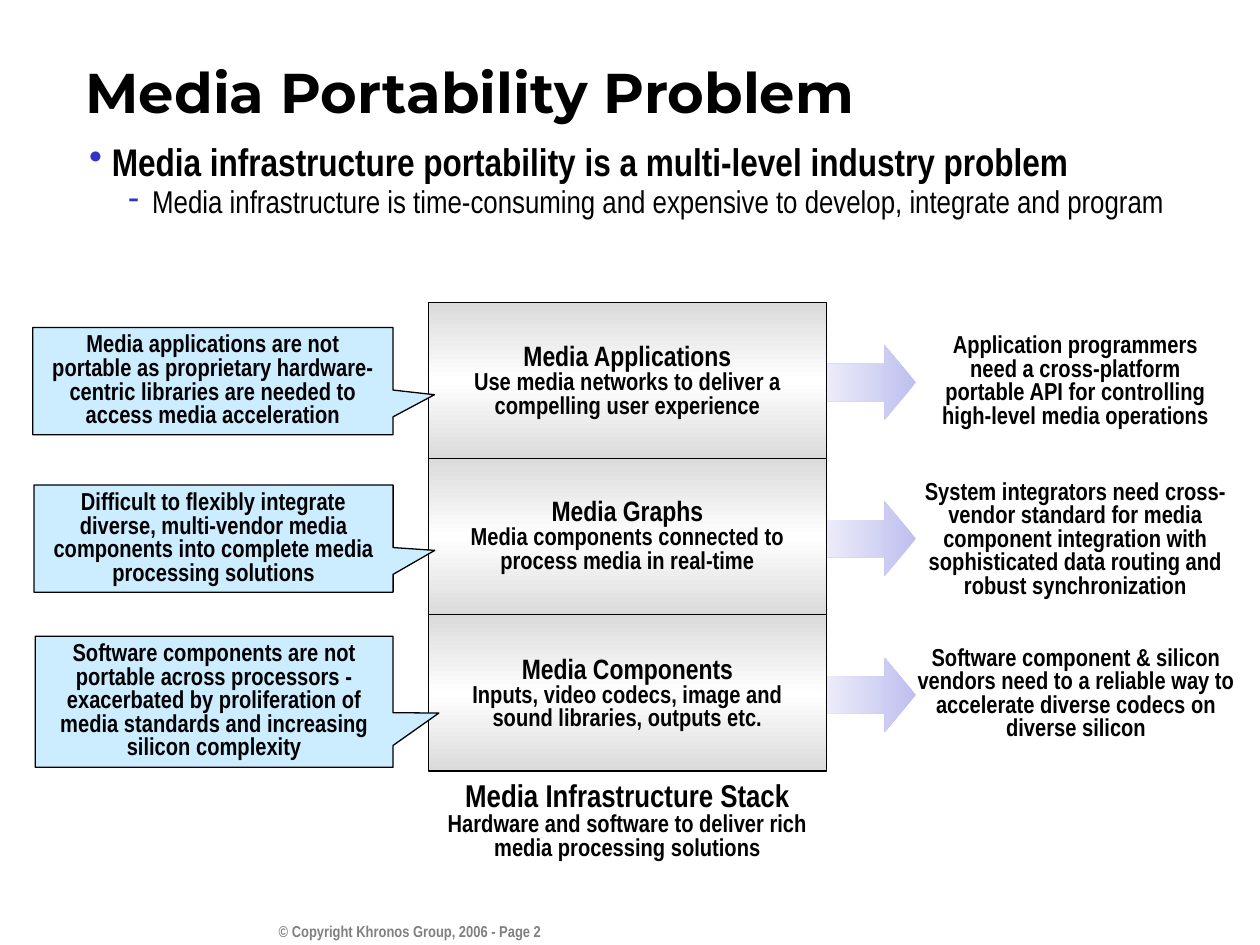
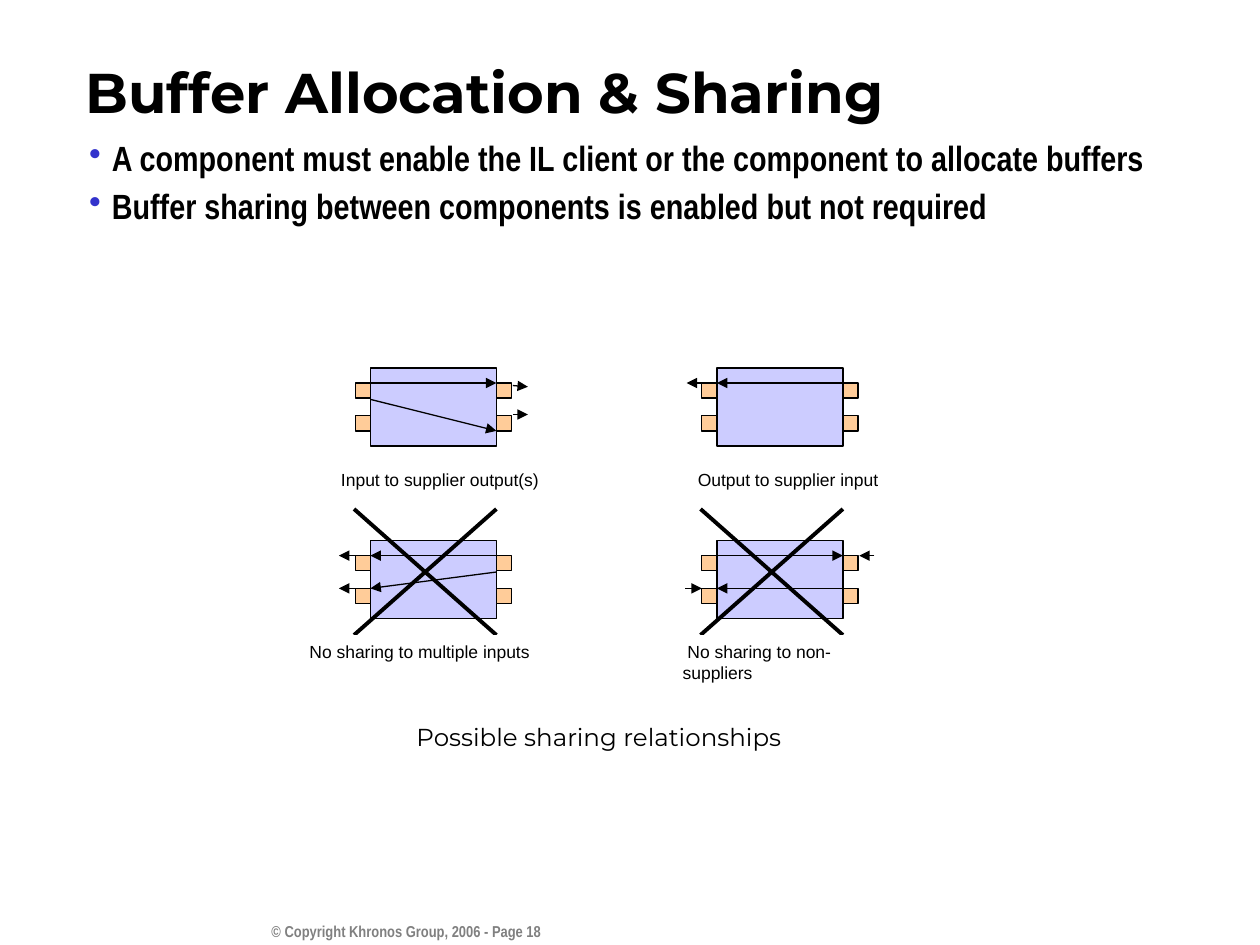
from lxml import etree
from pptx import Presentation
from pptx.dml.color import RGBColor
from pptx.enum.shapes import MSO_CONNECTOR, MSO_SHAPE
from pptx.enum.text import MSO_ANCHOR, PP_ALIGN
from pptx.oxml.ns import qn
from pptx.util import Inches, Pt

RECT = MSO_SHAPE.RECTANGLE
ARROW = MSO_SHAPE.RIGHT_ARROW
CALLOUT = MSO_SHAPE.RECTANGULAR_CALLOUT
STRAIGHT = MSO_CONNECTOR.STRAIGHT
LEFT, CENTER, RIGHT = PP_ALIGN.LEFT, PP_ALIGN.CENTER, PP_ALIGN.RIGHT
TOP, MIDDLE = MSO_ANCHOR.TOP, MSO_ANCHOR.MIDDLE

BLACK = RGBColor(0x00, 0x00, 0x00)
WHITE = RGBColor(0xFF, 0xFF, 0xFF)
GRAY = RGBColor(0x80, 0x80, 0x80)
SILVER = RGBColor(0xDB, 0xDB, 0xDB)
BLUE = RGBColor(0x33, 0x33, 0xCC)
SKY = RGBColor(0xCC, 0xEC, 0xFF)
LILAC = RGBColor(0xBF, 0xBF, 0xEF)
LAVENDER = RGBColor(0xCC, 0xCC, 0xFF)
PEACH = RGBColor(0xFF, 0xCC, 0x99)

HEAD = "Montserrat"
NARROW = "Arial Narrow"
PLAIN = "Arial"

ROW = 1.24
STACK = 3.4
PORT = 0.12
NEAR, FAR = 0.12, 0.38

LEVELS = [
    {"size": 14, "mark": "•", "margin": 0.18, "hang": -0.18, "bold": True},
    {"size": 18, "mark": "-", "margin": 0.5, "hang": -0.19, "bold": False},
]

LAYERS = [
    {
        "name": "Media Applications",
        "about": "Use media networks to deliver a compelling user experience",
        "drop": 0.29,
        "issue": "Media applications are not portable as proprietary hardware-centric "
                 "libraries are needed to access media acceleration",
        "call": (0.26, 0.2, 2.86, 0.85),
        "tip": (0.615, 0.127),
        "need": "Application programmers need a cross-platform portable API for "
                "controlling high-level media operations",
        "note": (7.28, 0.21, 2.51, 0.85),
    },
    {
        "name": "Media Graphs",
        "about": "Media components connected to process media in real-time",
        "drop": 0.28,
        "issue": "Difficult to flexibly integrate diverse, multi-vendor media "
                 "components into complete media processing solutions",
        "call": (0.27, 0.21, 2.85, 0.85),
        "tip": (0.616, 0.11),
        "need": "System integrators need cross-vendor standard for media component "
                "integration with sophisticated data routing and robust synchronization",
        "note": (7.12, 0.13, 2.83, 1.04),
    },
    {
        "name": "Media Components",
        "about": "Inputs, video codecs, image and sound libraries, outputs etc.",
        "drop": 0.29,
        "issue": "Software components are not portable across processors - exacerbated "
                 "by proliferation of media standards and increasing silicon complexity",
        "call": (0.28, 0.17, 2.84, 1.04),
        "tip": (0.628, 0.086),
        "need": "Software component & silicon vendors need to a reliable way to "
                "accelerate diverse codecs on diverse silicon",
        "note": (7.14, 0.21, 2.8, 0.85),
    },
]

PANELS = [
    {
        "at": (2.94, 2.92),
        "label": " Input to supplier output(s)",
        "box": (-0.37, 1.87),
        "flows": [(0, NEAR, 1, NEAR), (0, 0.25, 1, 0.5),
                  (1.13, 0.14, 1.25, 0.15), (1.13, 0.37, 1.25, 0.37)],
        "banned": False,
    },
    {
        "at": (5.69, 2.92),
        "label": "Output to supplier input",
        "box": (-0.25, 1.76),
        "flows": [(1, NEAR, 0, NEAR), (-0.12, NEAR, -0.24, NEAR)],
        "banned": False,
    },
    {
        "at": (2.94, 4.29),
        "label": " No sharing to multiple inputs",
        "box": (-0.62, 2),
        "flows": [(1, NEAR, 0, NEAR), (1, 0.25, 0, FAR),
                  (-0.12, NEAR, -0.25, NEAR), (-0.12, FAR, -0.25, FAR)],
        "banned": True,
    },
    {
        "at": (5.69, 4.29),
        "label": " No sharing to non-suppliers",
        "box": (-0.37, 1.87),
        "flows": [(0, NEAR, 1, NEAR), (1, FAR, 0, FAR),
                  (1.25, NEAR, 1.13, NEAR), (-0.25, FAR, -0.12, FAR)],
        "banned": True,
    },
]


def style(run, size, face=NARROW, bold=True, color=BLACK):
    run.font.size = Pt(size)
    run.font.name = face
    run.font.bold = bold
    run.font.color.rgb = color


def write(shape, text, sizes, face=NARROW, bold=True, color=BLACK,
          align=CENTER, anchor=TOP, space=None):
    frame = shape.text_frame
    frame.word_wrap = True
    frame.vertical_anchor = anchor
    para = frame.paragraphs[0]
    para.text = text
    para.alignment = align
    para.line_spacing = space
    for num, run in enumerate(para.runs):
        style(run, sizes[min(num, len(sizes) - 1)], face, bold, color)


def add_text(slide, box, text, sizes, **look):
    area = slide.shapes.add_textbox(*map(Inches, box))
    write(area, text, sizes, **look)


def add_form(slide, kind, box, fill=None, edge=True):
    form = slide.shapes.add_shape(kind, *map(Inches, box))
    form.shadow.inherit = False
    if fill is not None:
        form.fill.solid()
        form.fill.fore_color.rgb = fill
    if edge:
        form.line.color.rgb = BLACK
        form.line.width = Pt(0.75)
    else:
        form.line.fill.background()
    return form


def blend(form, angle, colors):
    form.fill.gradient()
    form.fill.gradient_angle = angle
    stops = form._element.spPr.find(".//" + qn("a:gsLst"))
    for stop in list(stops):
        stops.remove(stop)
    for num, color in enumerate(colors):
        place = str(100000 * num // (len(colors) - 1))
        stop = etree.SubElement(stops, qn("a:gs"), pos=place)
        etree.SubElement(stop, qn("a:srgbClr"), val=str(color))


def add_line(slide, ends, width=0.75, tip=True):
    line = slide.shapes.add_connector(STRAIGHT, *map(Inches, ends))
    line.line.color.rgb = BLACK
    line.line.width = Pt(width)
    if tip:
        etree.SubElement(line.line._get_or_add_ln(), qn("a:tailEnd"), type="triangle")
    etree.SubElement(line._element.spPr, qn("a:effectLst"))


def add_points(slide, box, items, space, before):
    frame = slide.shapes.add_textbox(*map(Inches, box)).text_frame
    frame.word_wrap = True
    for num, (text, level, size) in enumerate(items):
        para = frame.paragraphs[0] if num == 0 else frame.add_paragraph()
        kind = LEVELS[level]
        para.text = text
        para.level = level
        para.line_spacing = space
        para.space_before = Pt(before if num and level == 0 else 0)
        props = para._p.get_or_add_pPr()
        props.set("marL", str(Inches(kind["margin"])))
        props.set("indent", str(Inches(kind["hang"])))
        tint = etree.SubElement(props, qn("a:buClr"))
        etree.SubElement(tint, qn("a:srgbClr"), val=str(BLUE))
        etree.SubElement(props, qn("a:buChar"), char=kind["mark"])
        style(para.runs[0], size, bold=kind["bold"])


def add_page(deck, title, page):
    slide = deck.slides.add_slide(deck.slide_layouts[6])
    add_text(slide, (2, 7.27, 2.39, 0.33),
             f"© Copyright Khronos Group, 2006 - Page {page}", [9],
             color=GRAY, align=RIGHT)
    add_text(slide, (0.58, 0.51, 9.37, 0.42), title, [32],
             face=HEAD, align=LEFT, anchor=MIDDLE)
    return slide


def add_layer(slide, top, layer):
    arrow = add_form(slide, ARROW, (STACK + 2.87, top + 0.34, 1, 0.59), edge=False)
    arrow.adjustments[1] = 0.421
    blend(arrow, 180, [LILAC, WHITE])

    block = add_form(slide, RECT, (STACK, top, 3.16, ROW))
    blend(block, 90, [SILVER, WHITE, SILVER])
    add_text(slide, (STACK + 0.08, top + layer["drop"], 3, 0.69),
             layer["name"] + "\n" + layer["about"], [16, 14], space=0.8)

    left, drop, width, height = layer["note"]
    add_text(slide, (left, top + drop, width, height), layer["need"], [14], space=0.8)

    left, drop, width, height = layer["call"]
    call = add_form(slide, CALLOUT, (left, top + drop, width, height), SKY)
    call.adjustments[0], call.adjustments[1] = layer["tip"]
    write(call, layer["issue"], [14], anchor=MIDDLE, space=0.8)


def add_panel(slide, panel):
    left, top = panel["at"]
    add_form(slide, RECT, (left, top, 1, 0.62), LAVENDER)
    for side in (-PORT, 1):
        for drop in (NEAR, FAR):
            add_form(slide, RECT, (left + side, top + drop, PORT, PORT), PEACH)

    def shift(ends):
        return [spot + base for spot, base in zip(ends, (left, top) * 2)]

    for flow in panel["flows"]:
        add_line(slide, shift(flow))
    if panel["banned"]:
        for start, end in ((-0.25, 0.75), (0.75, -0.25)):
            add_line(slide, shift((-0.13, start, 1, end)), width=2.25, tip=False)

    side, width = panel["box"]
    label = add_form(slide, RECT, (left + side, top + 0.75, width, 0.38), WHITE, edge=False)
    write(label, panel["label"], [10], face=PLAIN, bold=False, align=LEFT)


def add_stack(deck):
    slide = add_page(deck, "Media Portability Problem", 2)
    add_points(slide, (0.61, 1.07, 9.39, 0.94), [
        ("Media infrastructure portability is a multi-level industry problem", 0, 22),
        ("Media infrastructure is time-consuming and expensive to develop, "
         "integrate and program", 1, 18),
    ], 0.95, 6.9)
    for num, layer in enumerate(LAYERS):
        add_layer(slide, 2.4 + num * ROW, layer)
    add_text(slide, (3.28, 6.17, 3.4, 0.72),
             "Media Infrastructure Stack\nHardware and software to deliver rich\n"
             "media processing solutions", [18, 14], space=0.8)


def add_sharing(deck):
    slide = add_page(deck, "Buffer Allocation & Sharing", 18)
    for panel in PANELS:
        add_panel(slide, panel)
    label = add_form(slide, RECT, (2.44, 5.68, 4.63, 0.38), WHITE, edge=False)
    write(label, "Possible sharing relationships", [14], face=HEAD, bold=False)
    add_points(slide, (0.61, 1.07, 9.39, 6.11), [
        ("A component must enable the IL client or the component to allocate buffers", 0, 20),
        ("Buffer sharing between components is enabled but not required", 0, 20),
    ], 0.9, 6.2)


def main():
    deck = Presentation()
    deck.slide_width, deck.slide_height = Inches(10), Inches(7.5)
    add_stack(deck)
    add_sharing(deck)
    deck.save("out.pptx")


if __name__ == "__main__":
    main()
